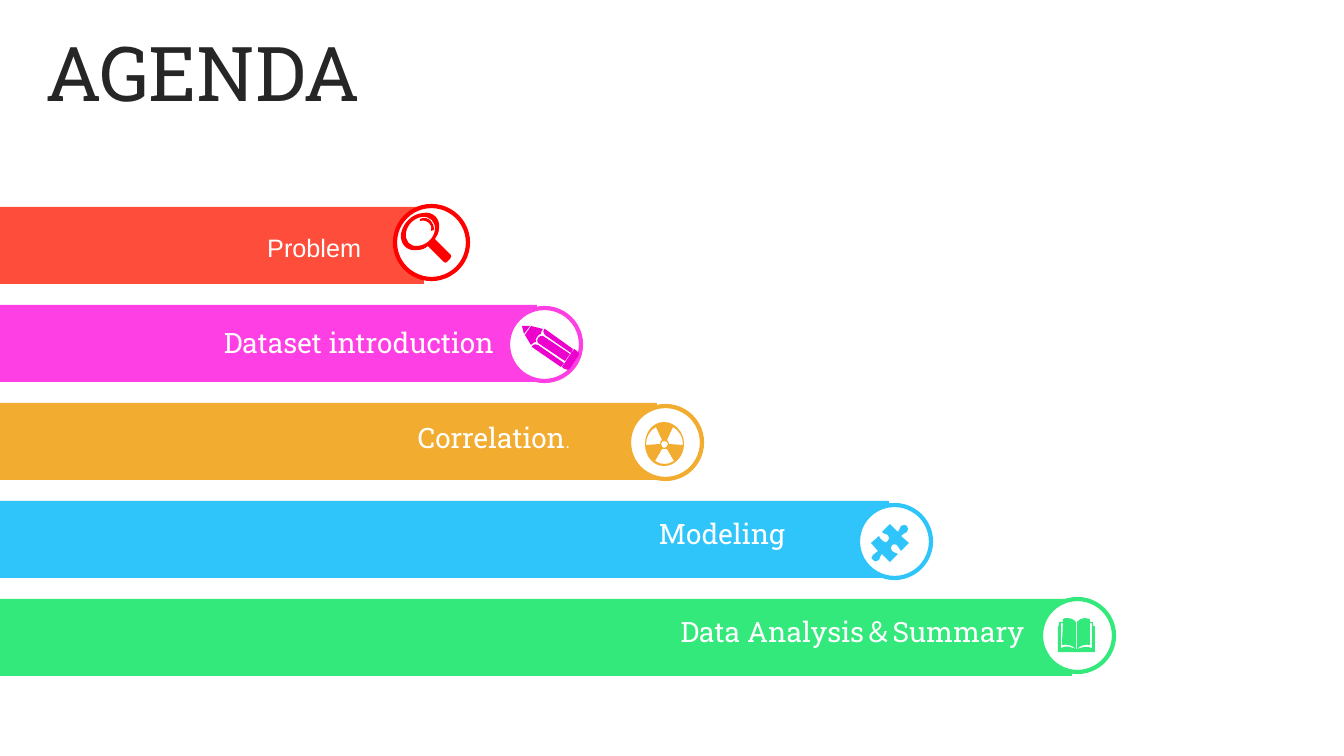
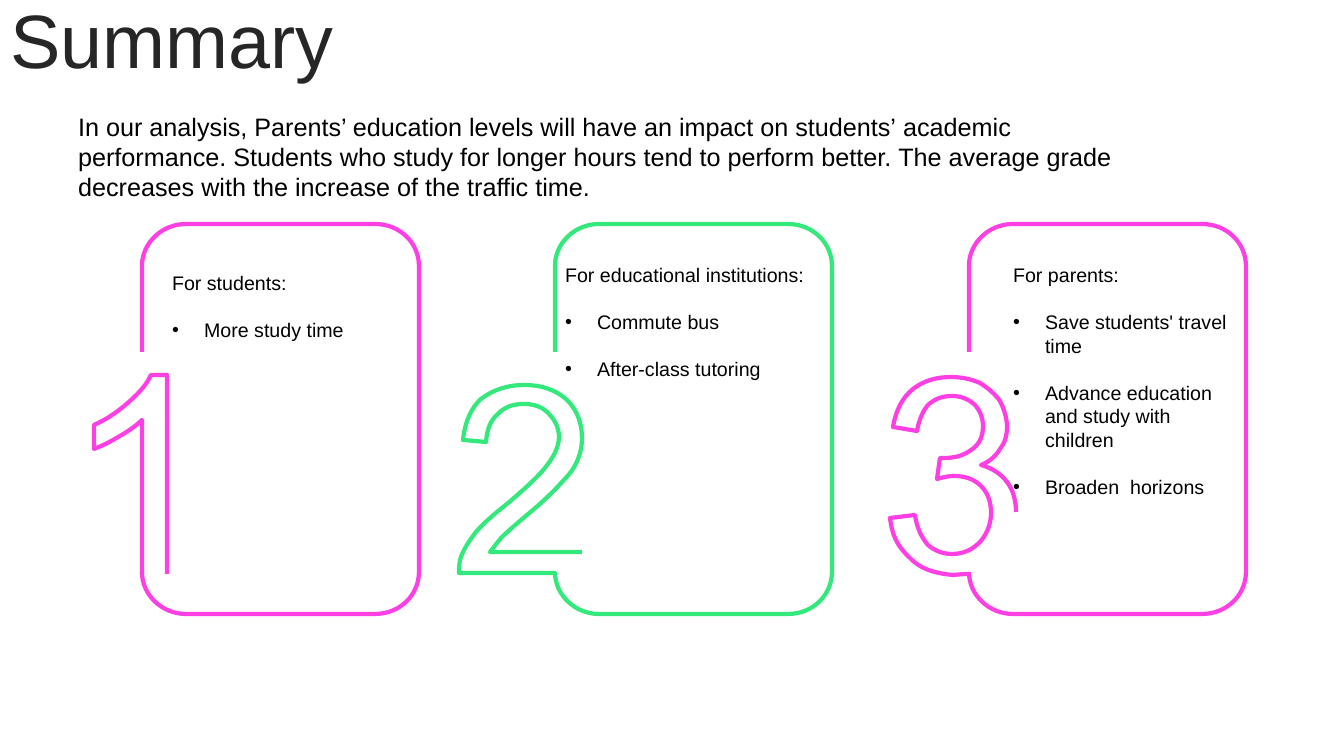
from lxml import etree
from pptx import Presentation
from pptx.dml.color import RGBColor
from pptx.enum.shapes import MSO_SHAPE
from pptx.enum.text import MSO_ANCHOR, MSO_AUTO_SIZE, PP_ALIGN
from pptx.oxml.ns import qn
from pptx.util import Emu, Pt

RECTANGLE, OVAL = MSO_SHAPE.RECTANGLE, MSO_SHAPE.OVAL
TOP, MIDDLE = MSO_ANCHOR.TOP, MSO_ANCHOR.MIDDLE
LEFT, RIGHT = PP_ALIGN.LEFT, PP_ALIGN.RIGHT
FIXED = MSO_AUTO_SIZE.NONE

EMU_PER_PIXEL = 914400 / 100.8
SLAB, SANS = "Roboto Slab", "Arial"
TITLE_ONLY, FOUR_BODIES = 5, 4

COLORS = {
    "white": "FFFFFF",
    "black": "000000",
    "title": "262626",
    "coral": "FE4D3B",
    "red": "FF0000",
    "magenta": "FE3FE4",
    "pencil": "ED01CC",
    "amber": "F2AC30",
    "blue": "2FC5FA",
    "green": "33E97C",
}

MAGNIFIER = """
M 54 47 L 56 49 C 57 50 56 51 55 53 L 52 56 C 51 57 50 57 49 56 C 48 56 48 55 47 54 Z
M 25 13 C 29 11 33 12 36 15 C 38 17 39 20 39 24 L 36 25 C 37 21 36 18 34 17
C 32 15 28 14 25 15 Z
M 27 11 C 19 12 12 19 11 27 C 10 35 15 41 23 40 C 32 39 39 32 40 24 C 41 16 35 10 27 11 Z
M 28 7 C 38 5 46 13 44 23 C 44 27 42 30 40 33 L 54 47 L 47 54 L 33 40
C 30 43 26 44 23 44 C 12 46 5 38 6 28 C 8 17 17 8 28 7 Z
"""
PENCIL = """
M 22 18 L 16 26 L 14 18 Z
M 35 21 C 33 23 33 25 33 26 C 32 26 30 27 29 29 C 28 31 27 33 28 34
C 26 34 25 35 23 37 L 17 27 L 23 18 Z
M 56 55 L 53 59 L 24 39 L 24 38 C 26 36 28 36 30 37 Z
M 62 46 L 57 53 L 30 35 C 29 34 29 32 30 30 C 32 28 34 27 35 28 Z
M 65 41 L 63 45 L 37 27 C 35 25 35 23 36 21 L 37 21 Z
M 71 46 C 71 47 70 49 69 50 L 63 59 C 61 62 59 63 57 61 C 56 61 55 60 54 59
L 66 41 L 69 43 C 70 44 71 45 71 46 Z
"""
RADIATION = """
M 33 43 L 26 55 C 32 59 39 59 45 55 L 38 43 Z
M 35 35 C 34 35 32 36 32 38 C 32 40 34 42 35 42 C 37 42 39 40 39 38 C 39 36 37 35 35 35 Z
M 44 21 L 38 34 C 39 35 40 36 40 38 L 54 39 C 54 31 50 24 44 21 Z
M 27 21 C 21 24 17 31 17 39 L 31 38 C 31 36 32 34 33 34 Z
M 35 16 C 46 16 55 26 55 38 C 55 50 46 60 35 60 C 24 60 16 50 16 38 C 16 26 24 16 35 16 Z
"""
PUZZLE = """
M 49 21 C 50 23 51 25 49 27 C 47 29 45 28 43 31 L 51 38 L 43 46 C 40 44 42 42 39 40
C 38 39 35 39 34 40 C 33 42 32 44 34 46 C 36 48 37 47 40 49 L 32 57 L 24 49
C 21 52 23 53 21 55 C 19 57 16 57 15 55 C 13 54 13 52 15 50 C 16 48 18 49 20 46
L 13 38 L 21 31 C 23 33 22 35 25 36 C 26 38 29 38 30 36 C 31 35 32 32 30 30
C 27 28 27 30 24 27 L 32 19 L 40 27 C 42 25 41 24 43 21 C 45 19 48 20 49 21 Z
"""
BOOK = """
M 35 50 L 36 50 C 42 48 45 47 51 49 L 51 24 L 49 24 L 49 46 C 45 45 40 46 36 50
L 36 23 C 39 20 41 19 44 19 C 46 19 47 19 49 20 L 49 23 L 52 23 L 52 27 L 54 27
L 54 53 L 17 53 L 17 27 L 18 27 L 18 23 L 22 23 L 22 20 C 23 19 25 19 27 19
C 30 19 32 20 35 23 L 35 50 C 31 46 26 45 21 46 L 22 24 L 20 24 L 20 49
C 26 46 29 48 35 50 Z
"""
CARD = """
M 0 348 C 0 371 20 390 44 390 L 233 390 C 258 390 277 371 277 348 L 277 42
C 277 19 258 0 233 0 L 44 0 C 20 0 0 19 0 42 L 0 128
"""
ONE = """
M 0 350 L 0 196 C -5 201 -13 207 -22 212 C -32 218 -40 222 -48 225 L -48 201
C -34 195 -22 186 -12 177 C -2 168 5 160 9 151 L 25 151 L 25 350
"""
TWO = """
M 1 349 L -96 349 C -96 344 -96 338 -94 333 C -91 325 -86 317 -79 308
C -72 300 -61 290 -48 280 C -28 263 -14 250 -7 240 C 0 231 4 221 4 213
C 4 204 0 196 -6 190 C -12 183 -21 180 -31 180 C -42 180 -51 183 -58 191
C -65 197 -68 206 -69 218 L -92 216 C -90 198 -84 184 -74 175
C -62 166 -48 161 -31 161 C -13 161 1 166 12 176 C 22 186 27 199 27 214
C 27 221 26 228 23 235 C 20 243 15 250 7 258 C 0 266 -11 277 -28 291
C -41 302 -50 310 -54 314 C -58 319 -61 323 -65 328 L 27 328
"""
THREE = """
M 0 350 C 0 350 -6 350 -16 351 C -26 350 -46 348 -59 334 C -73 321 -77 310 -79 294
L -54 291 C -52 305 -47 314 -41 321 C -34 327 -26 330 -17 330 C -6 330 3 326 11 318
C 18 310 22 300 22 289 C 22 278 19 269 12 262 C 5 255 -4 252 -15 252
C -20 252 -25 253 -32 255 L -29 234 L -25 234 C -15 234 -6 232 2 226
C 10 221 14 213 14 202 C 14 194 11 186 5 180 C -1 175 -8 172 -17 172
C -27 172 -34 175 -40 180 C -46 186 -50 196 -52 207 L -76 203
C -73 186 -67 174 -56 165 C -46 157 -33 153 -18 153 C -8 153 2 155 11 159
C 19 164 26 170 31 177 C 35 185 38 194 38 203 C 38 211 36 219 31 225
C 27 232 20 238 12 241 C 23 244 32 250 38 258 C 44 266 47 276 47 288
"""

AGENDA = [
    ("coral", "red", "red", 424, (395, 206), MAGNIFIER, (53, 227, 318, 40),
     [("Problem", SANS, 18)], {}),
    ("magenta", "magenta", "pencil", 537, (508, 308), PENCIL, (186, 321, 318, 44),
     [("Dataset introduction", SLAB, 20)], {}),
    ("amber", "amber", "amber", 657, (629, 406), RADIATION, (270, 416, 310, 44),
     [("Correlation", SLAB, 20), (".", SANS, 12)], {}),
    ("blue", "blue", "blue", 889, (858, 505), PUZZLE, (485, 512, 310, 44),
     [("Modeling", SLAB, 20)], {}),
    ("green", "green", "green", 1072, (1041, 599), BOOK, (667, 613, 374, 40),
     [("Data\u00a0Analysis\uff06Summary\u00a0", SLAB, 20)], {"spacing": 0.9, "before": 12}),
]

INTRO = (
    "In our analysis, Parents\u2019 education\u00a0levels\u00a0will have an impact on "
    "students\u2019\u00a0academic performance.\u00a0Students who study for longer hours tend "
    "to perform better.\u00a0The\u00a0average grade decreases with the increase of the traffic time."
)
ADVICE = [
    ("magenta", ONE, (162, 266, 202, 173), "For students:", ["More study time\u00a0"]),
    ("green", TWO, (555, 258, 264, 129), "For\u00a0educational institutions:",
     ["Commute bus", "After-class tutoring"]),
    ("magenta", THREE, (1003, 258, 244, 248), "For parents:",
     ["Save students' travel time", "Advance education and study with children",
      "Broaden  horizons"]),
]


def px(length):
    return Emu(round(length * EMU_PER_PIXEL))


def rgb(name):
    return RGBColor.from_string(COLORS[name])


def write(paragraph, text, font=SANS, size=14, color="black", align=LEFT, spacing=1, before=0):
    paragraph.alignment = align
    paragraph.line_spacing = spacing
    paragraph.space_before = Pt(before)
    run = paragraph.add_run()
    run.text = text
    run.font.name = font
    run.font.size = Pt(size)
    run.font.bold = False
    run.font.color.rgb = rgb(color)


def set_bullet(paragraph, char=None, indent=0):
    properties = paragraph._p.get_or_add_pPr()
    properties.set("marL", str(px(indent)))
    properties.set("indent", str(-px(indent)))
    if char:
        etree.SubElement(properties, qn("a:buFont")).set("typeface", SANS)
        etree.SubElement(properties, qn("a:buChar")).set("char", char)
    else:
        etree.SubElement(properties, qn("a:buNone"))


def paint(shape, fill=None, line=None):
    shape.shadow.inherit = False
    if fill:
        shape.fill.solid()
        shape.fill.fore_color.rgb = rgb(fill)
    else:
        shape.fill.background()
    if line:
        shape.line.color.rgb = rgb(line)
        shape.line.width = Pt(3)
    else:
        shape.line.fill.background()


def add_block(slide, kind, box, **colors):
    paint(slide.shapes.add_shape(kind, *map(px, box)), **colors)


def read_segments(contour, origin):
    for segment in contour.replace("Z", "").replace("L", "|").replace("C", "|").split("|"):
        numbers = [int(word) for word in segment.split()]
        yield [(px(origin[0] + x), px(origin[1] + y))
               for x, y in zip(numbers[::2], numbers[1::2])]


def bend_curves(shape, lengths):
    lines = iter(list(shape._element.iter(qn("a:lnTo"))))
    for length in lengths:
        group = [next(lines) for _ in range(length)]
        if length == 3:
            curve = etree.Element(qn("a:cubicBezTo"))
            group[0].addprevious(curve)
            for line in group:
                curve.append(line[0])
                line.getparent().remove(line)


def add_outline(slide, outline, origin, **colors):
    builder, lengths = None, []
    for contour in outline.split("M")[1:]:
        (start,), *segments = read_segments(contour, origin)
        if builder:
            builder.move_to(*start)
        else:
            builder = slide.shapes.build_freeform(*start, scale=1.0)
        points = [point for segment in segments for point in segment]
        builder.add_line_segments(points, close="Z" in contour)
        lengths += map(len, segments)
    shape = builder.convert_to_shape()
    bend_curves(shape, lengths)
    paint(shape, **colors)


def prepare_frame(holder, box, anchor=TOP):
    holder.left, holder.top, holder.width, holder.height = map(px, box)
    frame = holder.text_frame
    frame.word_wrap = True
    frame.auto_size = FIXED
    frame.vertical_anchor = anchor
    return frame


def add_title(slide, text, box, font):
    frame = prepare_frame(slide.shapes.title, box, MIDDLE)
    write(frame.paragraphs[0], text, font=font, size=54, color="title", spacing=0.9, before=10)


def add_label(slide, box, runs, **layout):
    label = slide.shapes.add_textbox(*map(px, box))
    paragraph = prepare_frame(label, box).paragraphs[0]
    for text, font, size in runs:
        write(paragraph, text, font=font, size=size, color="white", align=RIGHT, **layout)


def fill_body(slide, index, box, lead, items=(), size=14):
    body = slide.placeholders[index]
    body._element.getparent().append(body._element)
    frame = prepare_frame(body, box)
    write(frame.paragraphs[0], lead, size=size)
    set_bullet(frame.paragraphs[0])
    for item in items:
        paragraph = frame.add_paragraph()
        write(paragraph, item, size=size, before=16.8)
        set_bullet(paragraph, "\u2022", 32)


def build_agenda(deck):
    slide = deck.slides.add_slide(deck.slide_layouts[TITLE_ONLY])
    add_title(slide, "AGENDA", (35, 37, 588, 80), SLAB)
    for row, (bar, ring, icon, width, corner, outline, box, runs, layout) in enumerate(AGENDA):
        add_block(slide, RECTANGLE, (0, 207 + 98 * row, width, 77), fill=bar)
        add_block(slide, OVAL, (*corner, 73, 73), fill="white", line=ring)
        add_outline(slide, outline, corner, fill=icon)
        add_label(slide, box, runs, **layout)


def build_summary(deck):
    slide = deck.slides.add_slide(deck.slide_layouts[FOUR_BODIES])
    add_title(slide, "Summary", (0, 4, 1276, 80), SANS)
    fill_body(slide, 1, (68, 106, 1108, 102), INTRO, size=18)
    for column, (color, digit, box, lead, items) in enumerate(ADVICE):
        corner = (142 + 827 * column // 2, 224)
        add_outline(slide, CARD, corner, fill="white", line=color)
        add_outline(slide, digit, corner, line=color)
        fill_body(slide, column + 2, box, lead, items)


def main():
    deck = Presentation()
    deck.slide_width, deck.slide_height = px(1344), px(756)
    build_agenda(deck)
    build_summary(deck)
    deck.save("out.pptx")


main()
